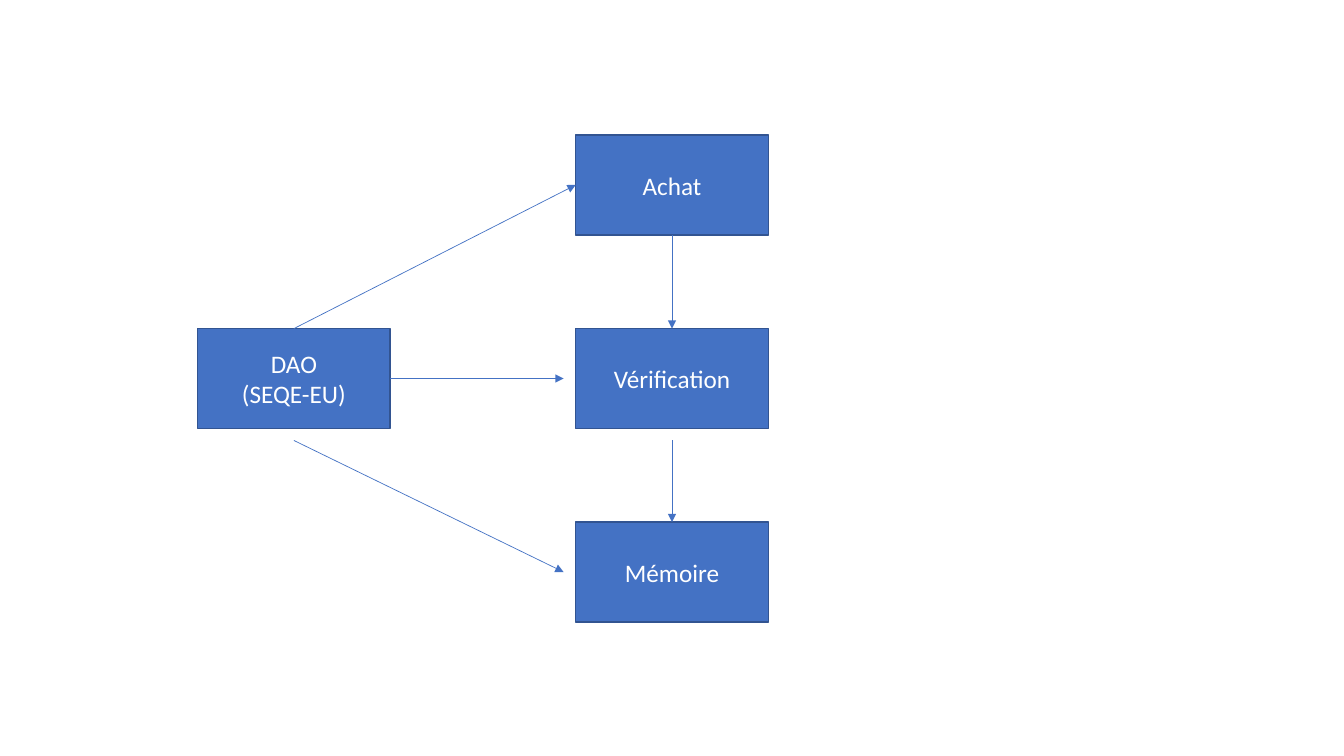
from dataclasses import dataclass

import pptx
import pptx.dml.color
import pptx.enum.shapes
import pptx.enum.text
import pptx.oxml
import pptx.oxml.ns
import pptx.util
from pptx.util import Inches


@dataclass(frozen=True)
class Theme:
    font: str = "Calibri"
    text_size: float = 18
    text: str = "FFFFFF"
    fill: str = "4472C4"
    border: str = "325491"
    arrow: str = "4472C4"
    border_width: float = 1
    arrow_width: float = 0.5


class Diagram:
    def __init__(self, page, theme):
        self.page = page
        self.theme = theme

    def color(self, value):
        return pptx.dml.color.RGBColor.from_string(value)

    def box(self, left, top, width, height, lines):
        box = self.page.shapes.add_shape(
            pptx.enum.shapes.MSO_SHAPE.RECTANGLE,
            Inches(left), Inches(top), Inches(width), Inches(height),
        )
        box.shadow.inherit = False
        box.fill.solid()
        box.fill.fore_color.rgb = self.color(self.theme.fill)
        box.line.color.rgb = self.color(self.theme.border)
        box.line.width = pptx.util.Pt(self.theme.border_width)
        frame = box.text_frame
        frame.word_wrap = True
        frame.vertical_anchor = pptx.enum.text.MSO_ANCHOR.MIDDLE
        for index, line in enumerate(lines):
            para = frame.add_paragraph() if index else frame.paragraphs[0]
            para.alignment = pptx.enum.text.PP_ALIGN.CENTER
            span = para.add_run()
            span.text = line
            span.font.name = self.theme.font
            span.font.size = pptx.util.Pt(self.theme.text_size)
            span.font.color.rgb = self.color(self.theme.text)

    def arrow(self, start, end):
        arrow = self.page.shapes.add_connector(
            pptx.enum.shapes.MSO_CONNECTOR.STRAIGHT,
            *(Inches(value) for value in (*start, *end)),
        )
        arrow.line.color.rgb = self.color(self.theme.arrow)
        arrow.line.width = pptx.util.Pt(self.theme.arrow_width)
        head = pptx.oxml.parse_xml(
            f'<a:tailEnd {pptx.oxml.ns.nsdecls("a")} type="triangle"/>'
        )
        arrow.line._get_or_add_ln().append(head)
        effects = pptx.oxml.parse_xml(
            f'<a:effectLst {pptx.oxml.ns.nsdecls("a")}/>'
        )
        arrow.element.spPr.append(effects)


deck = pptx.Presentation()
deck.slide_width = Inches(13.33)
deck.slide_height = Inches(7.5)
page = deck.slides.add_slide(deck.slide_layouts[6])
diagram = Diagram(page, Theme())

box_width, box_height = 1.91, 0.99
source_left, step_left = 1.96, 5.71
first_top, row_pitch = 1.34, 1.92
gap = 0.12

tops = [first_top + row * row_pitch for row in range(3)]
middles = [top + box_height / 2 for top in tops]
source_center = source_left + box_width / 2
step_center = step_left + box_width / 2
middle_bottom = tops[1] + box_height

diagram.box(source_left, tops[1], box_width, box_height, ["DAO", "(SEQE-EU)"])
for top, step in zip(tops, ["Achat", "Vérification", "Mémoire"]):
    diagram.box(step_left, top, box_width, box_height, [step])

diagram.arrow((source_center, tops[1]), (step_left, middles[0]))
diagram.arrow((source_left + box_width, middles[1]), (step_left - gap, middles[1]))
diagram.arrow((source_center, middle_bottom + gap), (step_left - gap, middles[2]))
diagram.arrow((step_center, tops[0] + box_height), (step_center, tops[1]))
diagram.arrow((step_center, middle_bottom + gap), (step_center, tops[2]))

deck.save("out.pptx")
